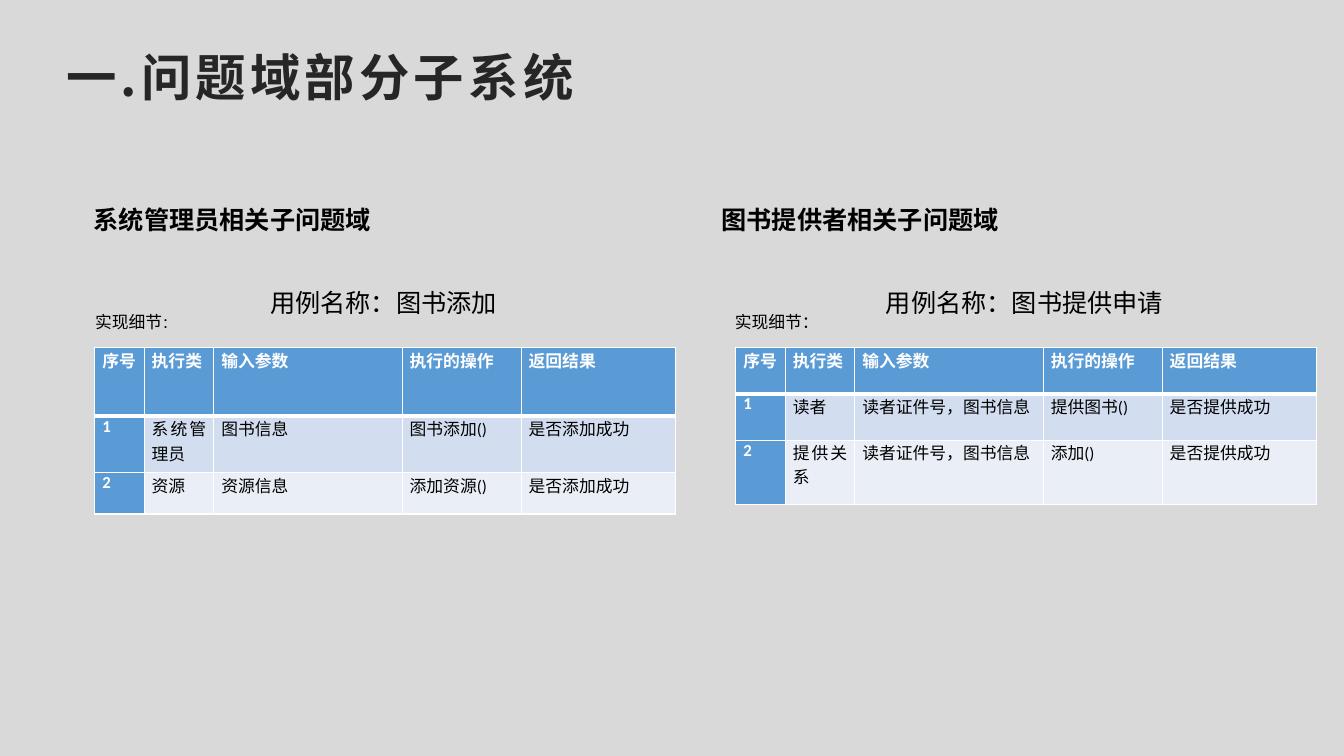
from dataclasses import dataclass

from lxml import etree
from pptx import Presentation
from pptx.dml.color import RGBColor
from pptx.enum import text as enums
from pptx.oxml import ns
from pptx.util import Pt


@dataclass(frozen=True)
class Theme:
    """Colours, fonts and type sizes of the slide."""
    back: str = "D9D9D9"
    title: str = "262626"
    ink: str = "000000"
    white: str = "FFFFFF"
    blue: str = "5B9BD5"
    bands: tuple = ("D2DEEF", "EAEFF7")
    bold: str = "Noto Sans CJK TC"
    plain: str = "Noto Sans CJK SC"
    latin: str = "Calibri"
    big: int = 36
    mid: int = 18
    small: int = 12
    tiny: int = 10


THEME = Theme()
COLS = (35.3, 49.7, 134.6, 85, 110.2)
HEAD = ("序号", "执行类", "输入参数", "执行的操作", "返回结果")


def style(run, size, color, face, bold=False):
    """Format a run, with its East Asian font."""
    font = run.font
    font.size, font.bold, font.name = Pt(size), bold, face
    font.color.rgb = RGBColor.from_string(color)
    asian = etree.SubElement(run._r.get_or_add_rPr(), ns.qn("a:ea"))
    asian.set("typeface", THEME.plain if face == THEME.latin else face)


def add_title(slide, words):
    """Place and format the slide title."""
    shape = slide.shapes.title
    shape.left, shape.top, shape.width, shape.height = Pt(40), Pt(36), Pt(381), Pt(51)
    frame = shape.text_frame
    frame.text = words
    frame.word_wrap = True
    frame.auto_size = enums.MSO_AUTO_SIZE.NONE
    frame.vertical_anchor = enums.MSO_ANCHOR.TOP
    para = frame.paragraphs[0]
    para.alignment = enums.PP_ALIGN.LEFT
    para.line_spacing = 0.84
    run = para.runs[0]
    style(run, THEME.big, THEME.title, THEME.bold, True)
    run._r.rPr.set("spc", "300")


def add_text(slide, box, words):
    """Add a one-line text box and return its paragraph."""
    frame = slide.shapes.add_textbox(*map(Pt, box)).text_frame
    frame.word_wrap = False
    para = frame.paragraphs[0]
    para.text = words
    para.alignment = enums.PP_ALIGN.LEFT
    return para


def add_head(slide, box, words, face, bold, lines, before, after):
    """Add a spaced heading."""
    para = add_text(slide, box, words)
    para.line_spacing = lines
    para.space_before, para.space_after = Pt(before), Pt(after)
    style(para.runs[0], THEME.mid, THEME.ink, face, bold)


def add_label(slide, box, indent, colon):
    """Add the indented label above a table."""
    para = add_text(slide, box, "实现细节")
    para._p.get_or_add_pPr().set("indent", str(Pt(indent)))
    para.add_run().text = "："
    for run, size in zip(para.runs, (THEME.small, colon)):
        style(run, size, THEME.ink, THEME.latin)


def add_edges(cell, base):
    """Draw white borders round a cell."""
    props = cell._tc.get_or_add_tcPr()
    for spot, (side, width) in enumerate(zip("LRTB", (1, 1, 1, base))):
        line = etree.Element(ns.qn("a:ln" + side), w=str(Pt(width)))
        fill = etree.SubElement(line, ns.qn("a:solidFill"))
        etree.SubElement(fill, ns.qn("a:srgbClr"), val=THEME.white)
        props.insert(spot, line)


def fill_cell(cell, words, row, col):
    """Write and format one table cell."""
    key = row == 0 or col == 0
    cell.fill.solid()
    cell.fill.fore_color.rgb = RGBColor.from_string(
        THEME.blue if key else THEME.bands[(row - 1) % 2])
    cell.margin_left = cell.margin_right = Pt(5.4)
    cell.margin_top = cell.margin_bottom = 0
    para = cell.text_frame.paragraphs[0]
    para.text = words
    para.alignment = enums.PP_ALIGN.JUSTIFY
    style(para.runs[0], THEME.small, THEME.white if key else THEME.ink, THEME.latin, key)
    add_edges(cell, 1 if row else 3)


def add_grid(slide, left, highs, rows):
    """Add a use case table with numbered rows."""
    data = [HEAD] + [(str(num), *row) for num, row in enumerate(rows, 1)]
    grid = slide.shapes.add_table(
        len(data), len(COLS), Pt(left), Pt(248.4), Pt(sum(COLS)), Pt(sum(highs))).table
    grid.horz_banding = False
    for col, width in zip(grid.columns, COLS):
        col.width = Pt(width)
    for row, high in zip(grid.rows, highs):
        row.height = Pt(high)
    for row, line in enumerate(data):
        for col, words in enumerate(line):
            fill_cell(grid.cell(row, col), words, row, col)


def add_case(slide, head, case, label, grid):
    """Add one problem domain: heading, use case, label and table."""
    left, words = head
    add_head(slide, (left, 126.7, 216, 40.3), words, THEME.bold, True, 1.73, 13, 13)
    left, width, words = case
    add_head(slide, (left, 189.4, width, 41), words, THEME.plain, False, 1.56, 14, 14.5)
    add_label(slide, *label)
    add_grid(slide, *grid)


def main():
    """Build the slide and save it."""
    deck = Presentation()
    deck.slide_width, deck.slide_height = Pt(960), Pt(540)
    slide = deck.slides.add_slide(deck.slide_layouts[5])
    slide.background.fill.solid()
    slide.background.fill.fore_color.rgb = RGBColor.from_string(THEME.back)
    add_title(slide, "一.问题域部分子系统")
    add_case(
        slide,
        (59.8, "系统管理员相关子问题域"),
        (185.8, 177.8, "用例名称：图书添加"),
        ((35.3, 218.9, 98.6, 21.6), 25.5, THEME.tiny),
        (67.7, (49, 40.3, 29.5), (
            ("系统管理员", "图书信息", "图书添加()", "是否添加成功"),
            ("资源", "资源信息", "添加资源()", "是否添加成功"))))
    add_case(
        slide,
        (508.3, "图书提供者相关子问题域"),
        (625.7, 214.6, "用例名称：图书提供申请"),
        ((496.8, 218.9, 96.5, 43.9), 21, THEME.small),
        (525.6, (33, 33, 46), (
            ("读者", "读者证件号，图书信息", "提供图书()", "是否提供成功"),
            ("提供关系", "读者证件号，图书信息", "添加()", "是否提供成功"))))
    deck.save("out.pptx")


if __name__ == "__main__":
    main()
